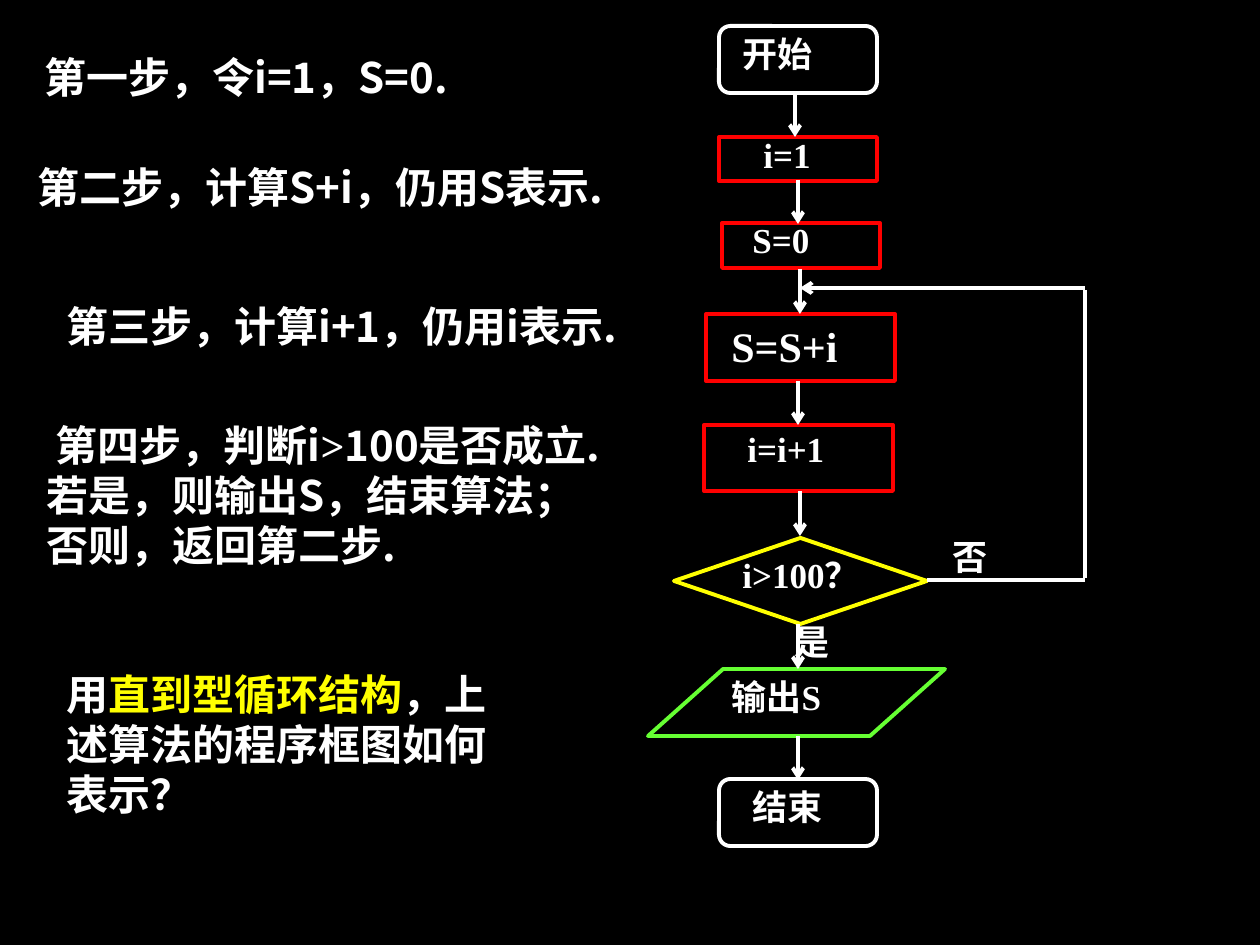
from lxml.etree import SubElement
from pptx import Presentation
from pptx.dml.color import RGBColor
from pptx.enum.shapes import MSO_CONNECTOR, MSO_SHAPE
from pptx.enum.text import MSO_ANCHOR, PP_ALIGN
from pptx.oxml.ns import qn
from pptx.util import Pt

PX = 914400 / 126
COLORS = {"black": "000000", "white": "FFFFFF", "red": "FF0000",
          "yellow": "FFFF00", "green": "66FF33"}
SANS, SERIF = "Noto Sans CJK SC", "Times New Roman"

# Algorithm steps: box, then runs of (text, font, colour)
STEPS = [
    ((34, 413, 586, 164), [(" ", "Arial", "white"),
                           ("第四步，判断i", SANS, "white"),
                           (">", SERIF, "white"),
                           ("100是否成立.若是，则输出S，结束算法；否则，返回第二步.", SANS, "white")]),
    ((32, 45, 435, 63), [("第一步，令i=1，S=0.", SANS, "white")]),
    ((25, 155, 633, 63), [("第二步，计算S+i，仍用S表示.", SANS, "white")]),
    ((54, 294, 620, 113), [("第三步，计算i+1，仍用i表示.", SANS, "white")]),
    ((54, 662, 446, 164), [("用", SANS, "white"),
                           ("直到型循环结构", SANS, "yellow"),
                           ("，上述算法的程序框图如何表示？", SANS, "white")]),
]

# Flowchart nodes: shape, box, adjustment, outline, label, label box, label size
NODES = [
    (MSO_SHAPE.ROUNDED_RECTANGLE, (719, 26, 158, 67), 0.17, "white", "开始", (730, 26, 158, 67), 20),
    (MSO_SHAPE.RECTANGLE, (719, 137, 158, 44), None, "red", "i=1", (751, 127, 126, 67), 20),
    (MSO_SHAPE.RECTANGLE, (722, 223, 158, 45), None, "red", "S=0", (740, 212, 126, 67), 20),
    (MSO_SHAPE.RECTANGLE, (706, 314, 189, 67), None, "red", "S=S+i", (719, 314, 189, 64), 24),
    (MSO_SHAPE.RECTANGLE, (704, 425, 189, 66), None, "red", "i=i+1", (735, 421, 158, 64), 20),
    (MSO_SHAPE.DIAMOND, (674, 538, 253, 86), None, "yellow", "i>100？", (730, 547, 189, 67), 20),
    (MSO_SHAPE.PARALLELOGRAM, (648, 669, 297, 67), 1.12, "green", "输出S", (719, 669, 158, 67), 20),
    (MSO_SHAPE.ROUNDED_RECTANGLE, (719, 779, 158, 67), 0.17, "white", "结束", (740, 779, 126, 67), 20),
]
BRANCHES = [("是", (782, 614, 95, 67)), ("否", (940, 529, 95, 67))]

# Downward arrows: x, from y, to y
FLOW = [(795, 92, 137), (798, 180, 224), (800, 269, 314), (798, 381, 425),
        (800, 491, 536), (798, 624, 669), (798, 736, 780)]
# Loop back, from the decision to above S=S+i: ends and whether it has an arrowhead
LOOP = [((927, 580, 1085, 580), False),
        ((1085, 578, 1085, 290), False),
        ((1085, 288, 800, 288), True)]


def px(*values):
    return [round(v * PX) for v in values]


def color(name):
    return RGBColor.from_string(COLORS[name])


def add_text(slide, box, runs, size=24, align=PP_ALIGN.LEFT):
    frame = slide.shapes.add_textbox(*px(*box)).text_frame
    frame.word_wrap = True
    frame.vertical_anchor = MSO_ANCHOR.TOP
    paragraph = frame.paragraphs[0]
    paragraph.alignment = align
    for text, font, tint in runs:
        run = paragraph.add_run()
        run.text = text
        run.font.name = font
        run.font.size = Pt(size)
        run.font.bold = True
        run.font.color.rgb = color(tint)
        SubElement(run.font._element, qn("a:ea")).set("typeface", SANS)


def add_label(slide, box, label, size=20):
    add_text(slide, box, [(label, SERIF, "white")], size=size, align=PP_ALIGN.JUSTIFY)


def add_node(slide, kind, box, adjustment, outline):
    node = slide.shapes.add_shape(kind, *px(*box))
    node.shadow.inherit = False
    node.fill.background()
    node.line.color.rgb = color(outline)
    node.line.width = Pt(2.25)
    if adjustment is not None:
        node.adjustments[0] = adjustment


def add_line(slide, ends, arrow):
    line = slide.shapes.add_connector(MSO_CONNECTOR.STRAIGHT, *px(*ends))
    line.line.color.rgb = color("white")
    line.line.width = Pt(2.25)
    if arrow:
        SubElement(line.line._get_or_add_ln(), qn("a:tailEnd")).set("type", "arrow")
    SubElement(line._element.spPr, qn("a:effectLst"))


def main():
    deck = Presentation()
    deck.slide_width, deck.slide_height = px(1260, 945)
    slide = deck.slides.add_slide(deck.slide_layouts[6])
    slide.background.fill.solid()
    slide.background.fill.fore_color.rgb = color("black")

    # Written algorithm
    for box, runs in STEPS:
        add_text(slide, box, runs)

    # Flowchart
    for kind, box, adjustment, outline, label, label_box, size in NODES:
        add_node(slide, kind, box, adjustment, outline)
        add_label(slide, label_box, label, size)
    for label, box in BRANCHES:
        add_label(slide, box, label)
    for x, top, bottom in FLOW:
        add_line(slide, (x, top, x, bottom), True)
    for ends, arrow in LOOP:
        add_line(slide, ends, arrow)

    deck.save("out.pptx")


if __name__ == "__main__":
    main()
